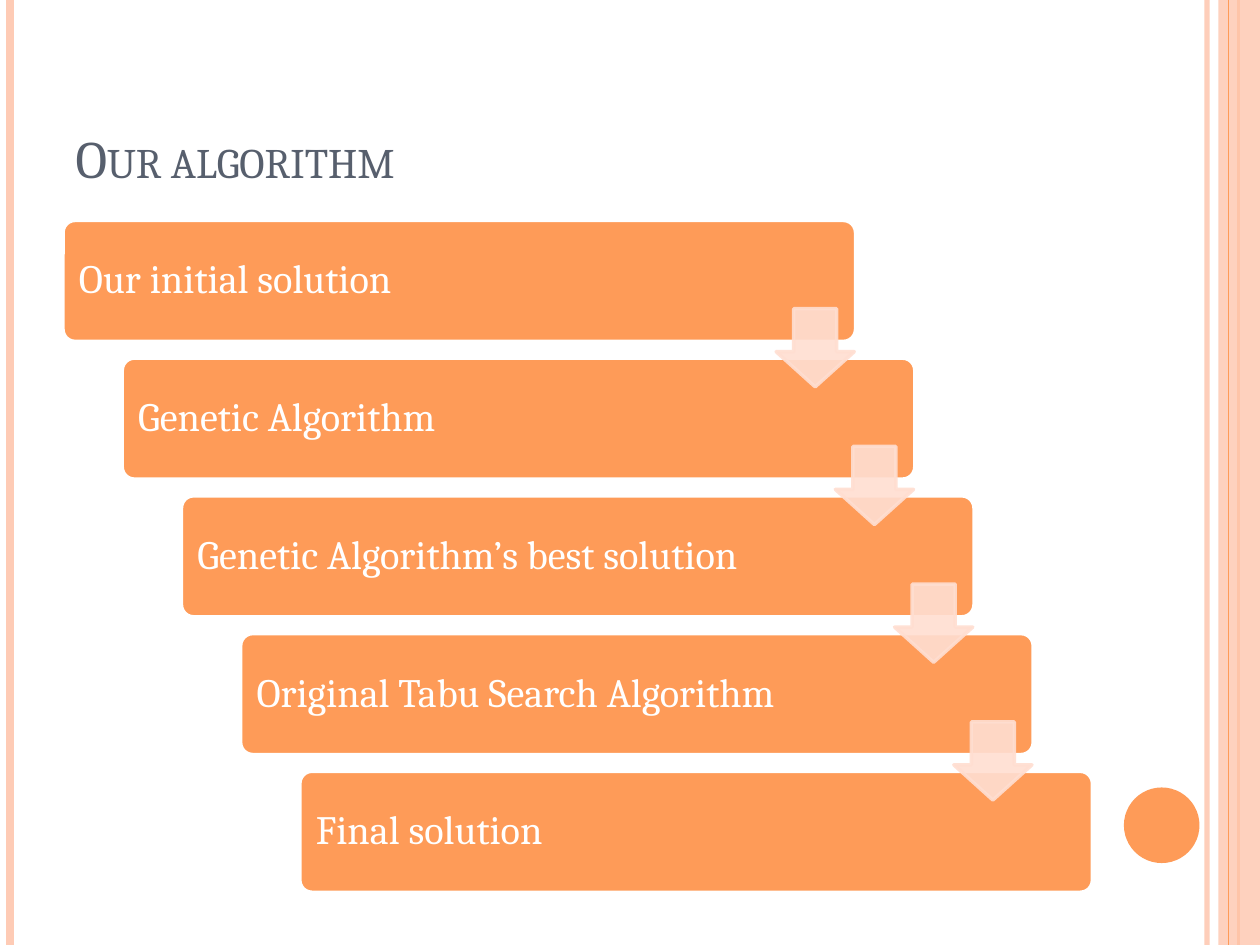
from lxml.etree import SubElement
from pptx import Presentation
from pptx.dml.color import RGBColor
from pptx.enum.shapes import MSO_CONNECTOR, MSO_SHAPE
from pptx.enum.text import MSO_ANCHOR, PP_ALIGN
from pptx.oxml.ns import qn
from pptx.util import Inches, Pt

COLORS = {
    "orange": "FE9B58",
    "peach": "FECBB5",
    "arrow": "FFDED1",
    "title": "575F6D",
    "white": "FFFFFF",
}
FONT = "Cambria"
STEPS = [
    "Our initial solution",
    "Genetic Algorithm",
    "Genetic Algorithm’s best solution",
    "Original Tabu Search Algorithm",
    "Final solution",
]
STEP_X, STEP_Y = 0.47, 1.093


def set_opacity(item, percent):
    for color in item._element.spPr.iter(qn("a:srgbClr")):
        SubElement(color, qn("a:alpha")).set("val", str(percent * 1000))


def add_filled(kind, left, top, width, height, fill, line=None):
    shape = page.shapes.add_shape(
        kind, Inches(left), Inches(top), Inches(width), Inches(height)
    )
    shape.shadow.inherit = False
    shape.fill.solid()
    shape.fill.fore_color.rgb = RGBColor.from_string(COLORS[fill])
    if line:
        shape.line.color.rgb = RGBColor.from_string(COLORS[line])
        shape.line.width = Pt(2)
    else:
        shape.line.fill.background()
    return shape


deck = Presentation()
deck.slide_width, deck.slide_height = Inches(10), Inches(7.5)
page = deck.slides.add_slide(deck.slide_layouts[5])

for x, color, width, opacity in [
    (9.58, "peach", 3, 93),
    (0.08, "peach", 4.5, 100),
    (9.83, "orange", 1.5, 100),
    (9.75, "orange", 0.75, 100),
]:
    if x == 9.75:
        band = add_filled(MSO_SHAPE.RECTANGLE, 9.67, 0, 0.33, 7.5, "peach")
        set_opacity(band, 87)
    stripe = page.shapes.add_connector(
        MSO_CONNECTOR.STRAIGHT, Inches(x), Inches(0), Inches(x), Inches(7.5)
    )
    stripe.line.color.rgb = RGBColor.from_string(COLORS[color])
    stripe.line.width = Pt(width)
    SubElement(stripe._element.spPr, qn("a:effectLst"))
    if opacity < 100:
        set_opacity(stripe, opacity)

add_filled(MSO_SHAPE.OVAL, 8.92, 6.25, 0.6, 0.6, "orange")

title = page.shapes.title
title.left, title.top = Inches(0.5), Inches(0.3)
title.width, title.height = Inches(8.17), Inches(1.25)
title.text_frame.text = "Our algorithm"
title.text_frame.vertical_anchor = MSO_ANCHOR.BOTTOM
para = title.text_frame.paragraphs[0]
para.alignment = PP_ALIGN.LEFT
para.font.name = FONT
para.font.size = Pt(30)
para.font.color.rgb = RGBColor.from_string(COLORS["title"])
para.runs[0]._r.get_or_add_rPr().set("cap", "small")

for index, step in enumerate(STEPS):
    box = add_filled(
        MSO_SHAPE.ROUNDED_RECTANGLE,
        0.5 + index * STEP_X, 1.75 + index * STEP_Y, 6.29, 0.96,
        "orange", "white",
    )
    box.adjustments[0] = 0.1
    frame = box.text_frame
    frame.word_wrap = True
    frame.vertical_anchor = MSO_ANCHOR.MIDDLE
    frame.margin_left, frame.margin_right = Inches(0.1), Inches(1.1)
    frame.text = step
    para = frame.paragraphs[0]
    para.alignment = PP_ALIGN.LEFT
    para.line_spacing = 0.9
    para.font.name = FONT
    para.font.size = Pt(23)
    para.font.color.rgb = RGBColor.from_string(COLORS["white"])

for index in range(len(STEPS) - 1):
    arrow = add_filled(
        MSO_SHAPE.DOWN_ARROW,
        6.16 + index * STEP_X, 2.45 + index * STEP_Y, 0.62, 0.62,
        "arrow", "arrow",
    )
    arrow.adjustments[0], arrow.adjustments[1] = 0.55, 0.45
    set_opacity(arrow, 90)

deck.save("out.pptx")
